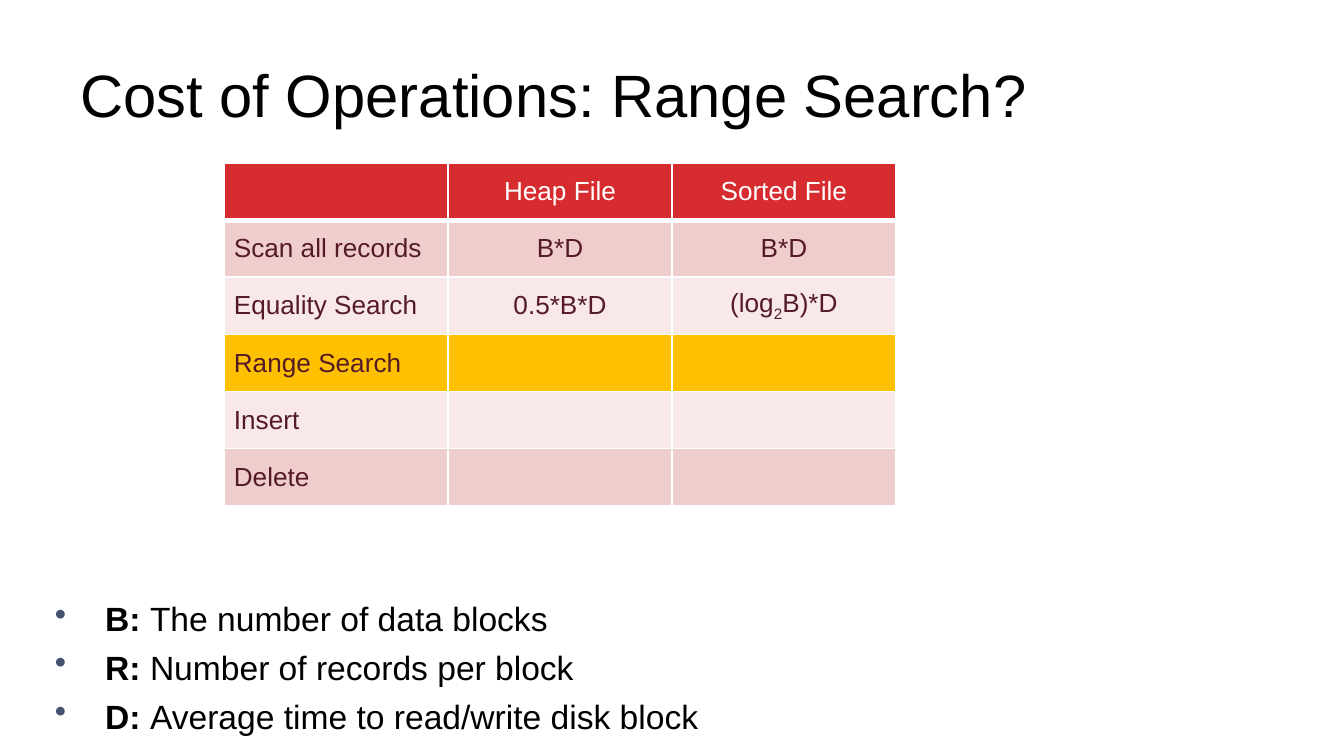
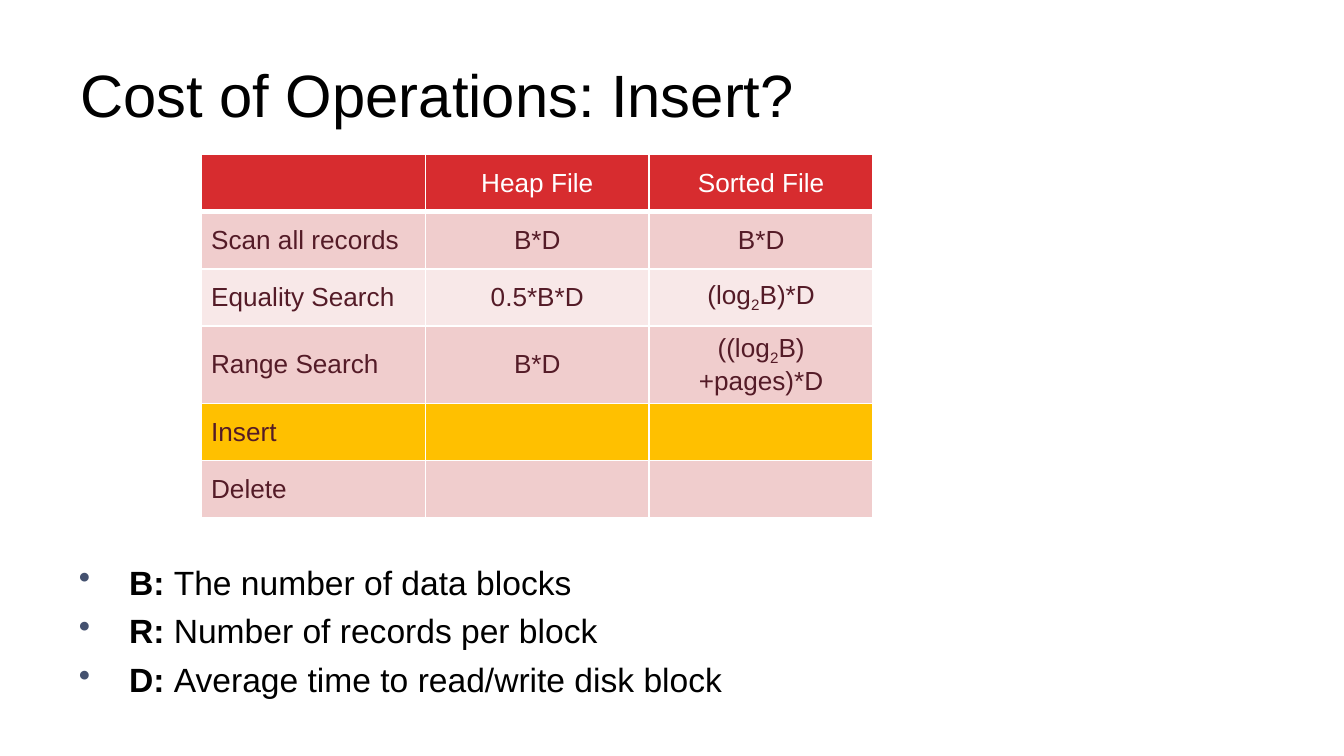
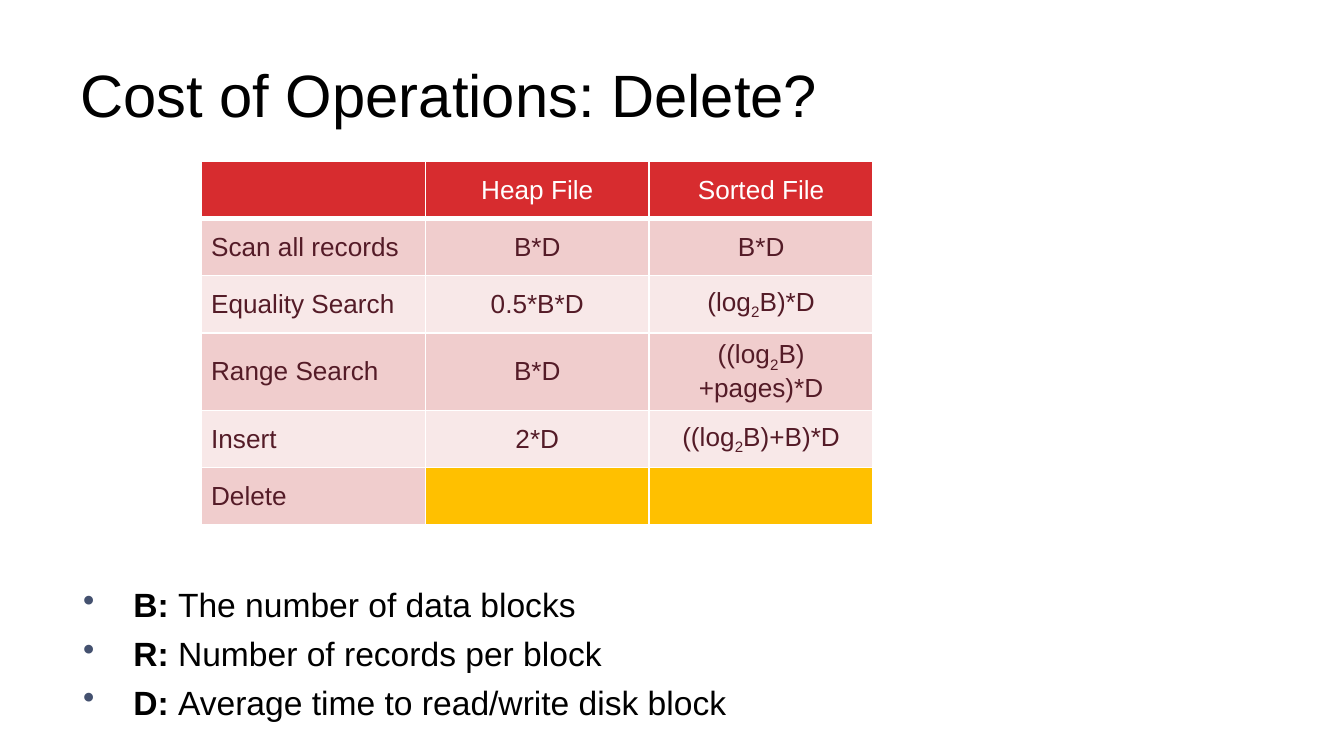
from dataclasses import dataclass

from lxml import etree
from pptx import Presentation
from pptx import util as u
from pptx.dml.color import RGBColor
from pptx.enum import text
from pptx.oxml import ns


@dataclass(frozen=True)
class Theme:
    font: str = "Arial"
    ink: str = "000000"
    white: str = "FFFFFF"
    header: str = "D72C2F"
    cell_ink: str = "541B27"
    bands: tuple = ("F0CDCD", "F8E8E8")
    highlight: str = "FFC000"
    bullet: str = "44516F"
    title_size: int = 32
    body_size: int = 18
    cell_size: int = 14


theme = Theme()


def style_font(font, size, color):
    font.name = theme.font
    font.size = u.Pt(size)
    font.color.rgb = RGBColor.from_string(color)


def add_solid_fill(parent, tag, color):
    """Add a child holding a plain colour, as borders need."""
    child = etree.SubElement(parent, ns.qn(tag))
    fill = etree.SubElement(child, ns.qn("a:solidFill"))
    etree.SubElement(fill, ns.qn("a:srgbClr"), val=color)
    return child


# Content: underscores enclose subscripts
headings = ["", "Heap File", "Sorted File"]
operations = ["Scan all records", "Equality Search", "Range Search", "Insert", "Delete"]
costs = [
    ("B*D", "B*D"),
    ("0.5*B*D", "(log_2_B)*D"),
    ("B*D", "((log_2_B)+pages)*D"),
    ("2*D", "((log_2_B)+B)*D"),
]
legend = [
    ("B: ", "The number of data blocks"),
    ("R: ", "Number of records per block"),
    ("D: ", "Average time to read/write disk block"),
]

# Title, known costs, first highlighted column, table position, legend position
questions = [
    ("Range Search", 2, 0, (4.24, 3.08), (0.79, 11.18)),
    ("Insert", 3, 0, (3.81, 2.92), (1.24, 10.49)),
    ("Delete", 4, 1, (3.81, 3.05), (1.32, 10.92)),
]
column_width, row_height = u.Cm(4.23), u.Cm(1.08)

deck = Presentation()
deck.slide_width, deck.slide_height = u.Cm(25.4), u.Cm(14.29)

for operation, known, first_highlight, table_at, legend_at in questions:
    page = deck.slides.add_slide(deck.slide_layouts[6])

    # Title
    box = page.shapes.add_textbox(u.Cm(1.27), u.Cm(0.58), u.Cm(22.86), u.Cm(2.39))
    box.text_frame.word_wrap = True
    box.text_frame.vertical_anchor = text.MSO_ANCHOR.MIDDLE
    para = box.text_frame.paragraphs[0]
    para.text = f"Cost of Operations: {operation}?"
    style_font(para.font, theme.title_size, theme.ink)

    # Legend of symbols
    left, top = legend_at
    box = page.shapes.add_textbox(u.Cm(left), u.Cm(top), u.Cm(22.86), u.Cm(9.42))
    box.text_frame.word_wrap = True
    for index, (symbol, meaning) in enumerate(legend):
        para = box.text_frame.paragraphs[0] if index == 0 else box.text_frame.add_paragraph()
        if index:
            para.space_before = u.Pt(4.5)
        properties = para._p.get_or_add_pPr()
        properties.set("marL", str(u.Cm(0.95)))
        properties.set("indent", str(-u.Cm(0.95)))
        color = etree.SubElement(properties, ns.qn("a:buClr"))
        etree.SubElement(color, ns.qn("a:srgbClr"), val=theme.bullet)
        etree.SubElement(properties, ns.qn("a:buChar"), char="•")
        style_font(para.font, theme.body_size, theme.ink)
        span = para.add_run()
        span.text = symbol
        span.font.bold = True
        para.add_run().text = meaning

    # Cost table, filled in up to the operation in question
    shown = costs[:known] + [("", "")] * (len(operations) - known)
    rows = [headings] + [[name, *pair] for name, pair in zip(operations, shown)]
    left, top = table_at
    table = page.shapes.add_table(
        len(rows), len(headings), u.Cm(left), u.Cm(top),
        column_width * len(headings), row_height * len(rows),
    ).table
    table.first_row = table.horz_banding = False
    for column in table.columns:
        column.width = column_width
    for row_index, values in enumerate(rows):
        table.rows[row_index].height = row_height
        is_header = row_index == 0
        for column_index, value in enumerate(values):
            cell = table.cell(row_index, column_index)
            cell.vertical_anchor = text.MSO_ANCHOR.MIDDLE
            cell.margin_left = cell.margin_right = u.Cm(0.18)
            cell.margin_top = cell.margin_bottom = u.Cm(0.1)

            # Borders come before the fill
            for side in "LRTB":
                line = add_solid_fill(cell._tc.get_or_add_tcPr(), f"a:ln{side}", theme.white)
                line.set("w", str(u.Pt(3 if is_header and side == "B" else 1)))
            if is_header:
                fill = theme.header
            elif values[0] == operation and column_index >= first_highlight:
                fill = theme.highlight
            else:
                fill = theme.bands[(row_index - 1) % 2]
            cell.fill.solid()
            cell.fill.fore_color.rgb = RGBColor.from_string(fill)

            para = cell.text_frame.paragraphs[0]
            if column_index:
                para.alignment = text.PP_ALIGN.CENTER
            style_font(para.font, theme.cell_size, theme.white if is_header else theme.cell_ink)
            for part_index, part in enumerate(value.split("_") if value else []):
                span = para.add_run()
                span.text = part
                if part_index % 2:
                    span._r.get_or_add_rPr().set("baseline", "-25000")

deck.save("out.pptx")
